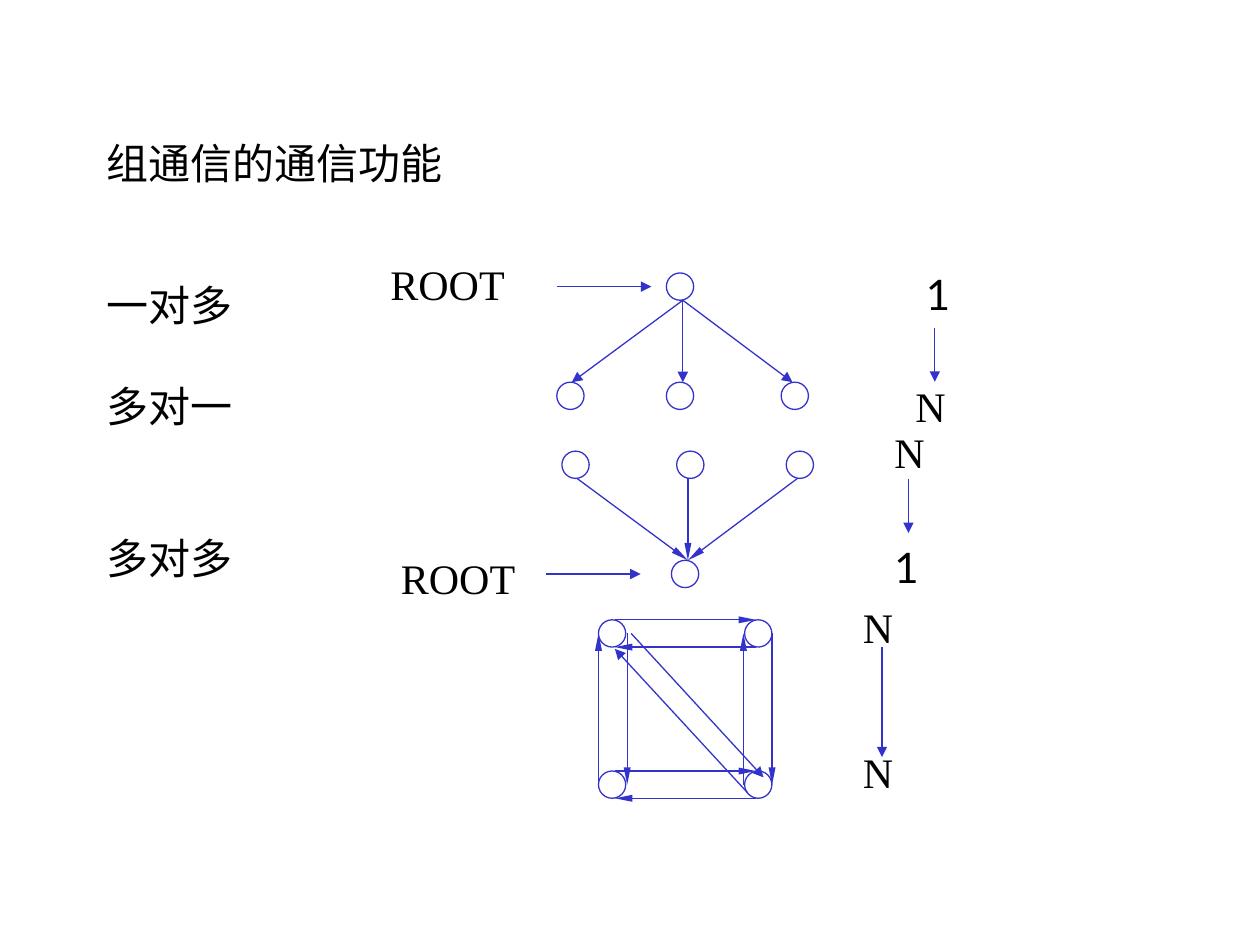
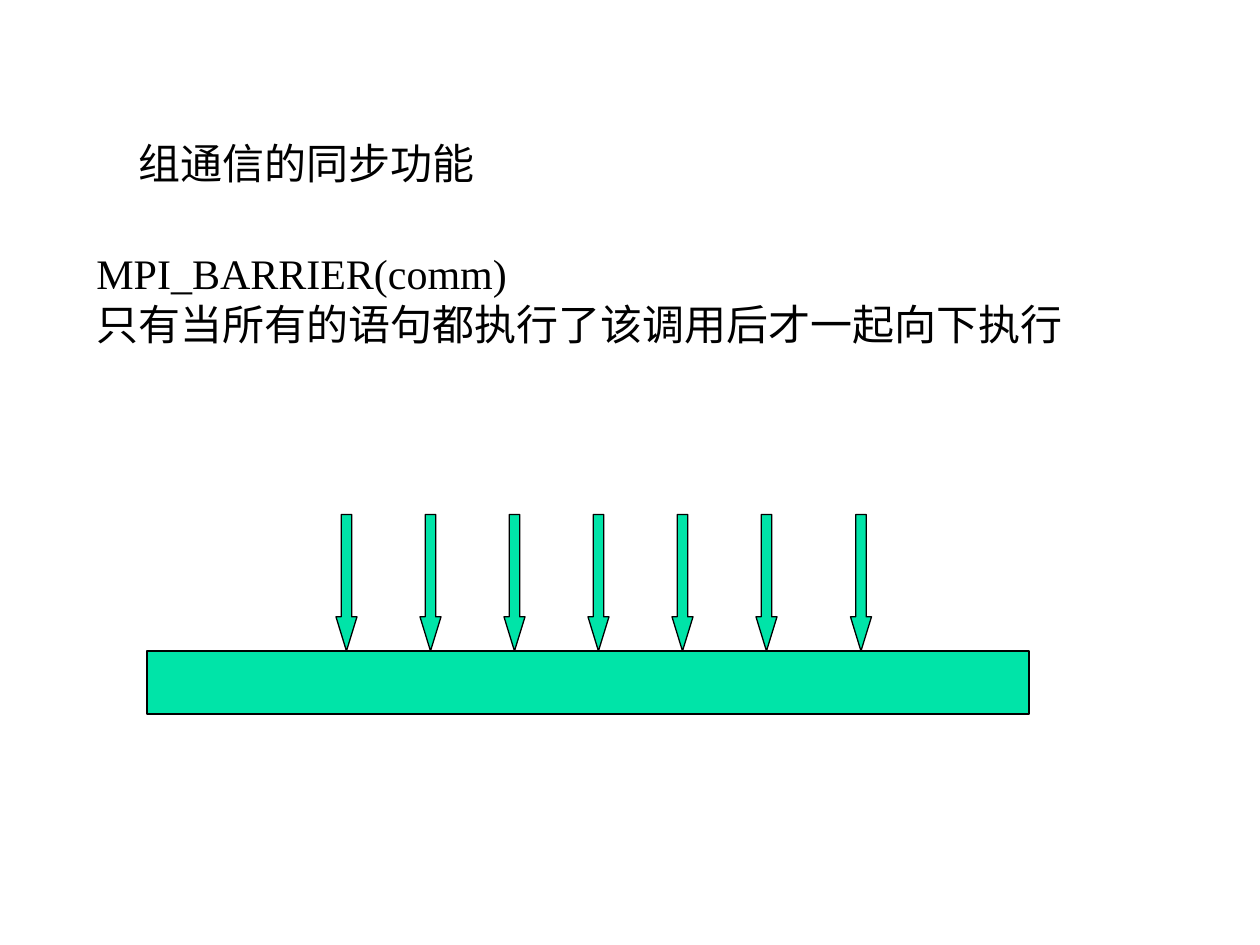
from lxml.etree import SubElement
from pptx import Presentation
from pptx.dml.color import RGBColor
from pptx.enum.shapes import MSO_CONNECTOR, MSO_SHAPE
from pptx.enum.text import MSO_ANCHOR
from pptx.oxml.ns import qn
from pptx.util import Pt

COLORS = {"text": "000000", "paper": "FFFFFF", "graph": "3333CC", "barrier": "00E4A8"}
SERIF = "Times New Roman"
SANS = "Lato"
TEXT_SIZE = 24
LINE_WIDTH = 0.75
NODE = 15.6
MEDIUM_HEAD = ("med", "med")
SLIM_HEAD = ("sm", "lg")


def color(name):
    return RGBColor.from_string(COLORS[name])


def add_text(slide, box, lines, font=SERIF, gaps=None, anchor=MSO_ANCHOR.TOP, wrap=True):
    shape = slide.shapes.add_textbox(*map(Pt, box))
    frame = shape.text_frame
    frame.word_wrap = wrap
    frame.vertical_anchor = anchor
    for index, line in enumerate(lines):
        paragraph = frame.add_paragraph() if index else frame.paragraphs[0]
        paragraph.space_before = Pt(gaps[index] if gaps else 0)
        run = paragraph.add_run()
        run.text = line
        run.font.name = font
        run.font.size = Pt(TEXT_SIZE)
        run.font.color.rgb = color("text")


def add_title(slide, left, text):
    add_text(slide, (left, 48, 612, 90), [text], anchor=MSO_ANCHOR.MIDDLE)


def add_filled(slide, kind, box, fill, line):
    shape = slide.shapes.add_shape(kind, *map(Pt, box))
    shape.shadow.inherit = False
    shape.fill.solid()
    shape.fill.fore_color.rgb = color(fill)
    shape.line.color.rgb = color(line)
    shape.line.width = Pt(LINE_WIDTH)
    return shape


def add_node(slide, left, top):
    add_filled(slide, MSO_SHAPE.OVAL, (left, top, NODE, NODE), "paper", "graph")


def add_arrow(slide, start, end, head=MEDIUM_HEAD):
    connector = slide.shapes.add_connector(MSO_CONNECTOR.STRAIGHT, *map(Pt, start + end))
    connector.line.color.rgb = color("graph")
    connector.line.width = Pt(LINE_WIDTH)
    width, length = head
    SubElement(connector.line._get_or_add_ln(), qn("a:tailEnd"), type="triangle", w=width, len=length)
    SubElement(connector._element.spPr, qn("a:effectLst"))


def draw_fan(slide, left, top, root_on_top):
    height, hub = 78, left + 72
    root_top, leaf_top = (top, top + height - NODE) if root_on_top else (top + height - NODE, top)
    upper, lower = top + NODE, top + height - NODE
    add_node(slide, left + 62.6, root_top)
    middle = 62.6 if root_on_top else 65.6
    for offset in (0, middle, 128.2):
        add_node(slide, left + offset, leaf_top)
    for offset in (72, 134.6, 8.6):
        if root_on_top:
            add_arrow(slide, (hub, upper), (left + offset, lower))
        else:
            add_arrow(slide, (left + offset, upper), (hub, lower), SLIM_HEAD)
    root_middle = root_top + NODE / 2
    pointer = left if root_on_top else left - 9
    add_arrow(slide, (pointer, root_middle), (pointer + 54, root_middle))


def draw_mesh(slide, left, top):
    step_x, step_y = 83.5, 86.4
    for x in (left, left + step_x):
        for y in (top, top + step_y):
            add_node(slide, x, y)
    start, end = left + 9.4, left + 90
    upper, lower = top + NODE / 2, top + step_y + NODE / 2
    for y in (top, top + step_y):
        add_arrow(slide, (start, y), (end, y), SLIM_HEAD)
        add_arrow(slide, (end, y + NODE), (start, y + NODE), SLIM_HEAD)
    for rising, falling in ((0, 16.4), (82.8, 99.2)):
        add_arrow(slide, (left + rising, lower), (left + rising, upper), SLIM_HEAD)
        add_arrow(slide, (left + falling, upper), (left + falling, lower), SLIM_HEAD)
    add_arrow(slide, (left + 18.7, upper), (left + 94.3, top + 90))
    add_arrow(slide, (left + 85, top + 98.6), (left + 9.4, top + 16.6))


def draw_counts(slide):
    for left, top, height in ((534.2, 187.2, 31), (519.1, 273.6, 31), (504, 370, 62.7)):
        add_arrow(slide, (left, top), (left, top + height))
    for left, top in ((516, 214), (504, 240)):
        add_text(slide, (left, top, 36, 36), ["N"])
    add_text(slide, (486, 340, 36, 122), ["N", "N"], gaps=(0, 54))
    for left, top in ((504, 306), (522, 150)):
        add_text(slide, (left, top, 27, 36), ["1"], font=SANS, wrap=False)


def build_communication(slide):
    add_title(slide, 54, "组通信的通信功能")
    add_text(slide, (54, 156, 612, 324), ["一对多", "多对一", "多对多"], gaps=(0, 29, 58))
    draw_fan(slide, 318.2, 156, True)
    draw_fan(slide, 321.1, 257.8, False)
    draw_mesh(slide, 342, 354.2)
    for left, top in ((216, 144), (222, 312)):
        add_text(slide, (left, top, 126, 36), ["ROOT"])
    draw_counts(slide)


def draw_barrier(slide, left, top):
    add_filled(slide, MSO_SHAPE.RECTANGLE, (left, top + 78, 504, 36), "barrier", "text")
    for offset in [108 + 48 * index for index in range(6)] + [402]:
        box = (left + offset, top, 12, 78)
        arrow = add_filled(slide, MSO_SHAPE.DOWN_ARROW, box, "barrier", "text")
        arrow.adjustments[0] = 0.5
        arrow.adjustments[1] = 1.625


def build_synchronization(slide):
    add_title(slide, 72, "组通信的同步功能")
    lines = ["MPI_BARRIER(comm)", "只有当所有的语句都执行了该调用后才一起向下执行"]
    add_text(slide, (48, 138, 630, 138), lines)
    draw_barrier(slide, 84, 294)


def main():
    presentation = Presentation()
    presentation.slide_width, presentation.slide_height = Pt(720), Pt(540)
    for build in (build_communication, build_synchronization):
        build(presentation.slides.add_slide(presentation.slide_layouts[6]))
    presentation.save("out.pptx")


if __name__ == "__main__":
    main()
